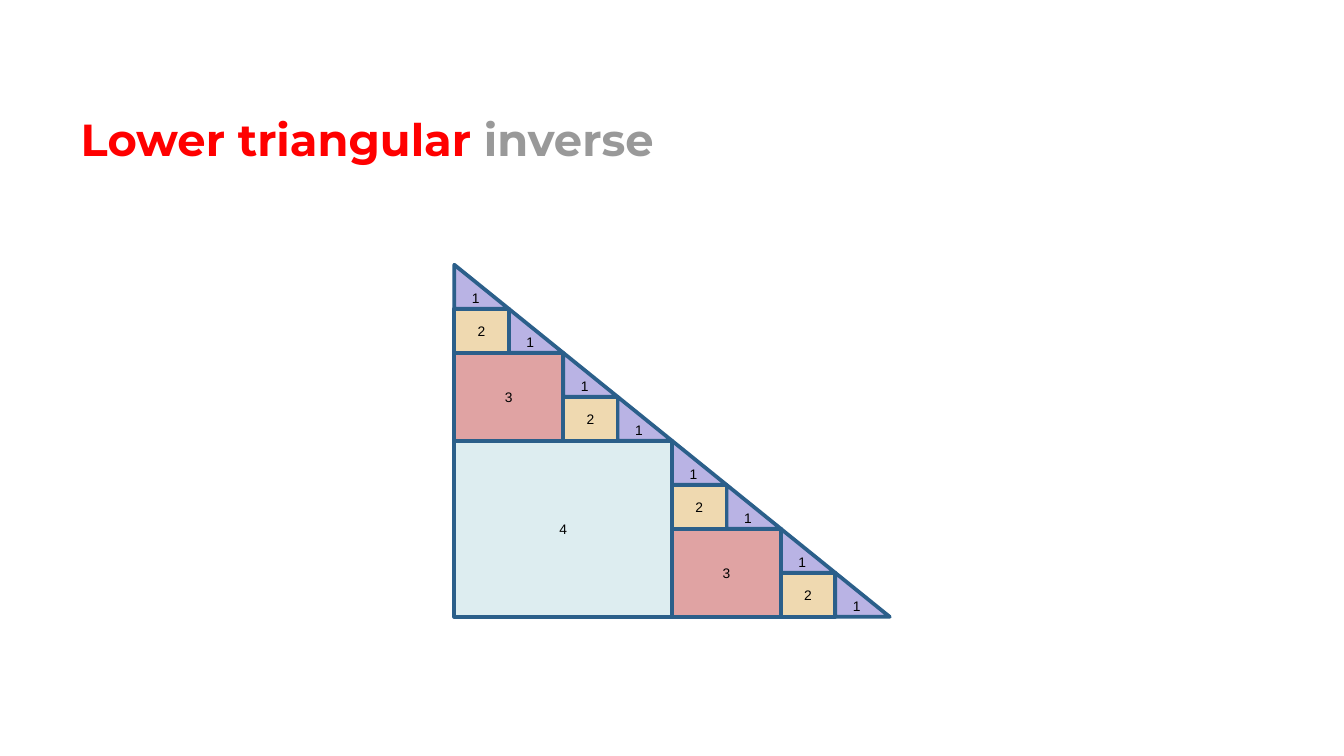
from pptx import Presentation
from pptx.dml.color import RGBColor
from pptx.enum import shapes, text
from pptx.util import Inches, Pt

RED = RGBColor(0xFF, 0x00, 0x00)
GRAY = RGBColor(0x99, 0x99, 0x99)
BLACK = RGBColor(0x00, 0x00, 0x00)
OUTLINE = RGBColor(0x2B, 0x5F, 0x8A)
LILAC = RGBColor(0xB9, 0xB3, 0xE4)
SQUARE_FILLS = {
    2: RGBColor(0xEF, 0xD9, 0xB0),
    3: RGBColor(0xE0, 0xA3, 0xA3),
    4: RGBColor(0xDD, 0xED, 0xF0),
}

SLIDE_WIDTH = 10
SLIDE_HEIGHT = SLIDE_WIDTH * 9 / 16
GRID_SIZE = 8
MATRIX_LEFT, MATRIX_TOP = 3.38, 1.97
CELL_WIDTH, CELL_HEIGHT = 3.24 / GRID_SIZE, 2.62 / GRID_SIZE


def set_insets(frame, left, others):
    frame.margin_left = Inches(left)
    frame.margin_top = frame.margin_right = frame.margin_bottom = Inches(others)


def add_title(slide):
    title = slide.shapes.title
    title.left, title.top = Inches(0.5), Inches(0.81)
    title.width, title.height = Inches(5.67), Inches(0.52)
    frame = title.text_frame
    frame.auto_size = text.MSO_AUTO_SIZE.NONE
    frame.word_wrap = True
    frame.vertical_anchor = text.MSO_ANCHOR.BOTTOM
    set_insets(frame, 0.1, 0.1)
    paragraph = frame.paragraphs[0]
    paragraph.alignment = text.PP_ALIGN.LEFT
    for words, color in (("Lower triangular ", RED), ("inverse", GRAY)):
        run = paragraph.add_run()
        run.text = words
        run.font.name = "Montserrat"
        run.font.size = Pt(24)
        run.font.bold = True
        run.font.color.rgb = color


def add_block(slide, preset, step, row, column, span, fill, left_inset=0):
    """Add a block of span x span grid cells, labelled with its step."""
    block = slide.shapes.add_shape(
        preset,
        Inches(MATRIX_LEFT + column * CELL_WIDTH),
        Inches(MATRIX_TOP + row * CELL_HEIGHT),
        Inches(span * CELL_WIDTH),
        Inches(span * CELL_HEIGHT),
    )
    block.shadow.inherit = False
    block.fill.solid()
    block.fill.fore_color.rgb = fill
    block.line.color.rgb = OUTLINE
    block.line.width = Pt(2)
    frame = block.text_frame
    frame.text = str(step)
    frame.vertical_anchor = text.MSO_ANCHOR.MIDDLE
    set_insets(frame, left_inset, 0)
    paragraph = frame.paragraphs[0]
    paragraph.alignment = text.PP_ALIGN.CENTER
    font = paragraph.runs[0].font
    font.name = "Arial"
    font.size = Pt(7.4)
    font.color.rgb = BLACK


def add_matrix(slide):
    """Add the diagonal triangles, then the squares that double at each step."""
    for index in range(GRID_SIZE):
        add_block(slide, shapes.MSO_SHAPE.RIGHT_TRIANGLE, 1,
                  index, index, 1, LILAC, left_inset=0.05)
    for step, fill in SQUARE_FILLS.items():
        span = 2 ** (step - 2)
        for column in range(0, GRID_SIZE, 2 * span):
            add_block(slide, shapes.MSO_SHAPE.RECTANGLE, step,
                      column + span, column, span, fill)


def main():
    presentation = Presentation()
    presentation.slide_width = Inches(SLIDE_WIDTH)
    presentation.slide_height = Inches(SLIDE_HEIGHT)
    slide = presentation.slides.add_slide(presentation.slide_layouts[5])
    add_title(slide)
    add_matrix(slide)
    presentation.save("out.pptx")


if __name__ == "__main__":
    main()
